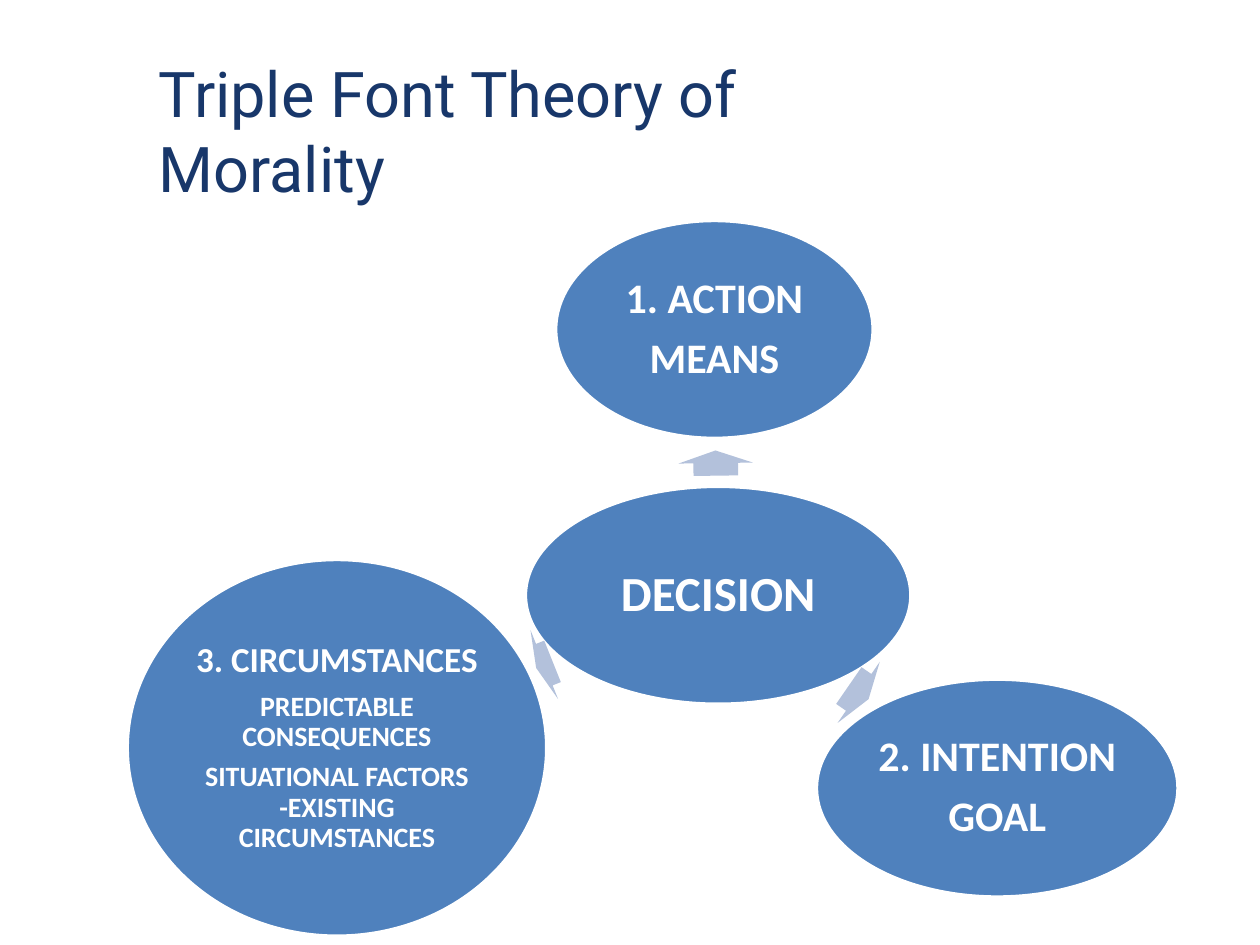
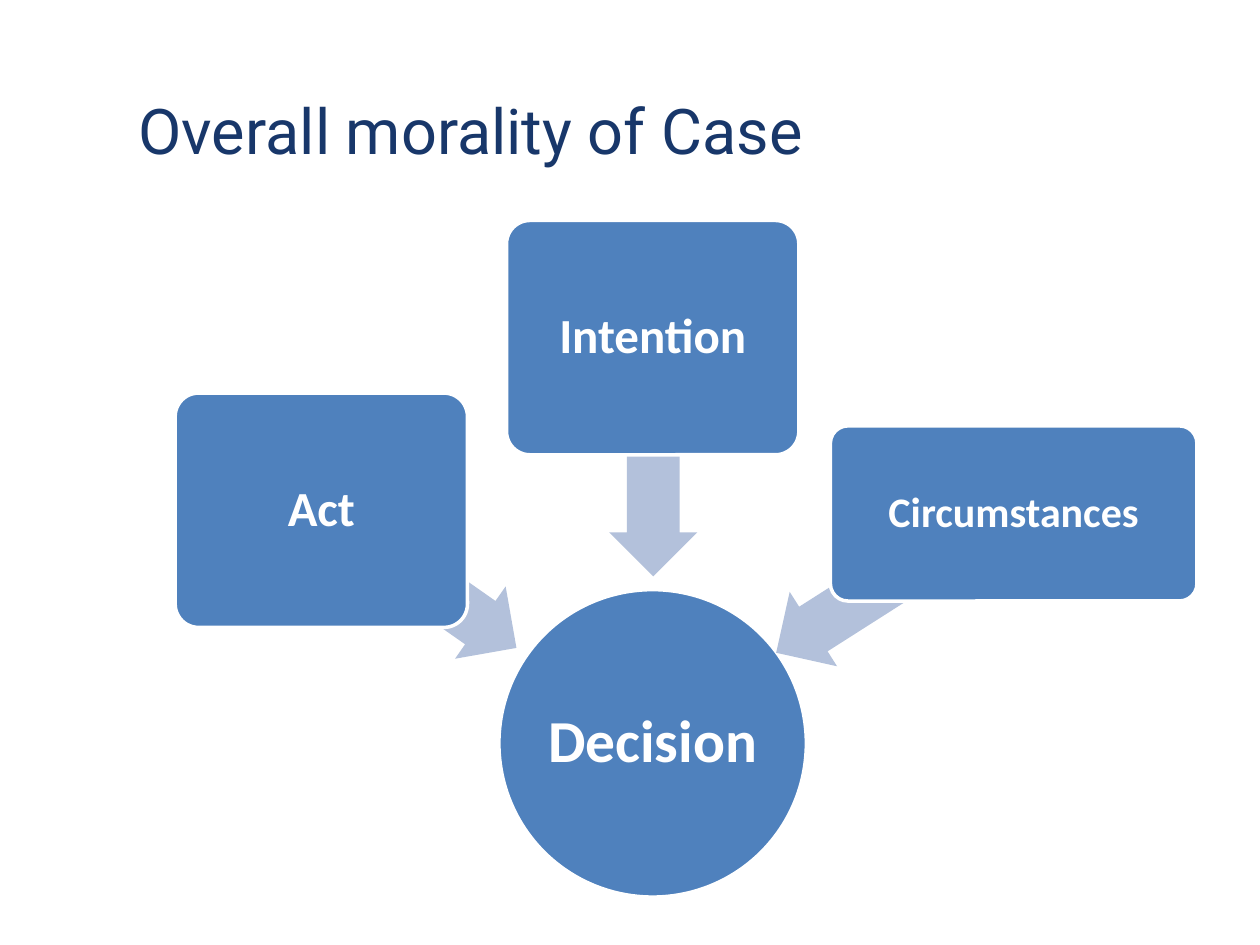
from dataclasses import dataclass
from typing import Any

from pptx import Presentation
from pptx.dml.color import RGBColor
from pptx.enum.shapes import MSO_SHAPE
from pptx.enum.text import MSO_ANCHOR, MSO_AUTO_SIZE, PP_ALIGN
from pptx.util import Inches, Pt

ELLIPSE = MSO_SHAPE.OVAL
ROUNDED = MSO_SHAPE.ROUNDED_RECTANGLE
RIGHT_ARROW = MSO_SHAPE.RIGHT_ARROW
LEFT_ARROW = MSO_SHAPE.LEFT_ARROW
MIDDLE = MSO_ANCHOR.MIDDLE
NO_AUTOFIT = MSO_AUTO_SIZE.NONE
LEFT, CENTER = PP_ALIGN.LEFT, PP_ALIGN.CENTER
TITLE_ONLY = 5


@dataclass(frozen=True)
class Theme:
    title_color: RGBColor = RGBColor(0x18, 0x37, 0x6A)
    node_color: RGBColor = RGBColor(0x4F, 0x81, 0xBD)
    arrow_color: RGBColor = RGBColor(0xB3, 0xC1, 0xDB)
    white: RGBColor = RGBColor(0xFF, 0xFF, 0xFF)
    title_font: str = "Roboto"
    body_font: str = "Calibri"
    title_size: int = 36
    hub_size: int = 34
    large: int = 28
    medium: int = 24
    small: int = 20
    detail: int = 16
    outline: int = 2
    line_spacing: float = 0.9
    space_after: float = 0.35  # share of the type size
    corner: float = 0.1
    arrow_adjustments: tuple[float, float] = (0.6, 0.5)


THEME = Theme()


@dataclass(frozen=True)
class Box:
    left: float
    top: float
    width: float
    height: float

    def lengths(self) -> tuple[int, int, int, int]:
        return (Inches(self.left), Inches(self.top),
                Inches(self.width), Inches(self.height))


@dataclass(frozen=True)
class Line:
    text: str
    size: int


@dataclass(frozen=True)
class Node:
    kind: Any
    box: Box
    lines: tuple[Line, ...]
    inset: float


@dataclass(frozen=True)
class Arrow:
    box: Box
    rotation: float


@dataclass(frozen=True)
class Diagram:
    title: str
    title_box: Box
    hub: Node
    arrow_kind: Any
    spokes: tuple[tuple[Arrow, Node], ...]


DIAGRAMS = (
    Diagram(
        "Triple Font Theory of Morality", Box(1.16, 0.6, 5.89, 0.86),
        Node(ELLIPSE, Box(4.17, 3.86, 3.06, 1.73), (Line("DECISION", THEME.large),), 0.04),
        RIGHT_ARROW,
        (
            (Arrow(Box(5.58, 3.38, 0.2, 0.59), 269.2),
             Node(ELLIPSE, Box(4.41, 1.75, 2.52, 1.73),
                  (Line("1. ACTION", THEME.medium), Line("MEANS", THEME.medium)), 0.03)),
            (Arrow(Box(6.72, 5.2, 0.19, 0.59), 34.6),
             Node(ELLIPSE, Box(6.48, 5.39, 2.87, 1.73),
                  (Line("2. INTENTION", THEME.medium), Line("GOAL", THEME.medium)), 0.03)),
            (Arrow(Box(4.25, 4.98, 0.14, 0.59), 158.2),
             Node(ELLIPSE, Box(1.01, 4.44, 3.33, 2.99),
                  (Line("3. CIRCUMSTANCES", THEME.small),
                   Line("PREDICTABLE CONSEQUENCES", THEME.detail),
                   Line("SITUATIONAL FACTORS -EXISTING CIRCUMSTANCES", THEME.detail)), 0.03)),
        ),
    ),
    Diagram(
        "Overall morality of Case", Box(1, 0.6, 6.37, 0.86),
        Node(ELLIPSE, Box(3.96, 4.68, 2.44, 2.44), (Line("Decision", THEME.hub_size),), 0.02),
        LEFT_ARROW,
        (
            (Arrow(Box(2.38, 4.25, 1.89, 0.7), 215),
             Node(ROUNDED, Box(1.39, 3.12, 2.32, 1.86), (Line("Act", THEME.large),), 0.06)),
            (Arrow(Box(4.24, 3.28, 1.89, 0.7), 270),
             Node(ROUNDED, Box(4.02, 1.75, 2.32, 1.86), (Line("Intention", THEME.large),), 0.06)),
            (Arrow(Box(6, 4.28, 2.05, 0.7), 327.5),
             Node(ROUNDED, Box(6.59, 3.38, 2.91, 1.39),
                  (Line("Circumstances", THEME.medium),), 0.05)),
        ),
    ),
)


def set_attributes(target: Any, values: dict[str, Any]) -> None:
    for name, value in values.items():
        setattr(target, name, value)


def add_run(paragraph: Any, text: str, font: str, size: int, color: RGBColor, bold: bool) -> None:
    run = paragraph.add_run()
    run.text = text
    set_attributes(run.font, {"name": font, "size": Pt(size), "bold": bold})
    run.font.color.rgb = color


def format_frame(frame: Any, inset_x: float, inset_y: float) -> None:
    set_attributes(frame, {
        "word_wrap": True, "auto_size": NO_AUTOFIT, "vertical_anchor": MIDDLE,
        "margin_left": Inches(inset_x), "margin_right": Inches(inset_x),
        "margin_top": Inches(inset_y), "margin_bottom": Inches(inset_y),
    })


def set_title(slide: Any, text: str, box: Box) -> None:
    title = slide.shapes.title
    set_attributes(title, dict(zip(("left", "top", "width", "height"), box.lengths())))
    format_frame(title.text_frame, 0.1, 0.05)
    paragraph = title.text_frame.paragraphs[0]
    paragraph.alignment = LEFT
    add_run(paragraph, text, THEME.title_font, THEME.title_size, THEME.title_color, False)


def add_filled_shape(slide: Any, kind: Any, box: Box, color: RGBColor) -> Any:
    shape = slide.shapes.add_shape(kind, *box.lengths())
    shape.shadow.inherit = False
    shape.fill.solid()
    shape.fill.fore_color.rgb = color
    return shape


def add_node(slide: Any, node: Node) -> None:
    shape = add_filled_shape(slide, node.kind, node.box, THEME.node_color)
    shape.line.color.rgb = THEME.white
    shape.line.width = Pt(THEME.outline)
    if node.kind == ROUNDED:
        shape.adjustments[0] = THEME.corner
    frame = shape.text_frame
    format_frame(frame, node.inset, node.inset)
    for index, line in enumerate(node.lines):
        paragraph = frame.add_paragraph() if index else frame.paragraphs[0]
        set_attributes(paragraph, {
            "alignment": CENTER, "line_spacing": THEME.line_spacing,
            "space_after": Pt(THEME.space_after * line.size),
        })
        add_run(paragraph, line.text, THEME.body_font, line.size, THEME.white, True)


def add_arrow(slide: Any, kind: Any, arrow: Arrow) -> None:
    shape = add_filled_shape(slide, kind, arrow.box, THEME.arrow_color)
    shape.line.fill.background()
    shape.rotation = arrow.rotation
    for index, value in enumerate(THEME.arrow_adjustments):
        shape.adjustments[index] = value


def add_diagram_slide(presentation: Any, diagram: Diagram) -> None:
    slide = presentation.slides.add_slide(presentation.slide_layouts[TITLE_ONLY])
    set_title(slide, diagram.title, diagram.title_box)
    add_node(slide, diagram.hub)
    for arrow, node in diagram.spokes:
        add_arrow(slide, diagram.arrow_kind, arrow)
        add_node(slide, node)


def main() -> None:
    presentation = Presentation()
    set_attributes(presentation, {"slide_width": Inches(10), "slide_height": Inches(7.5)})
    for diagram in DIAGRAMS:
        add_diagram_slide(presentation, diagram)
    presentation.save("out.pptx")


if __name__ == "__main__":
    main()
